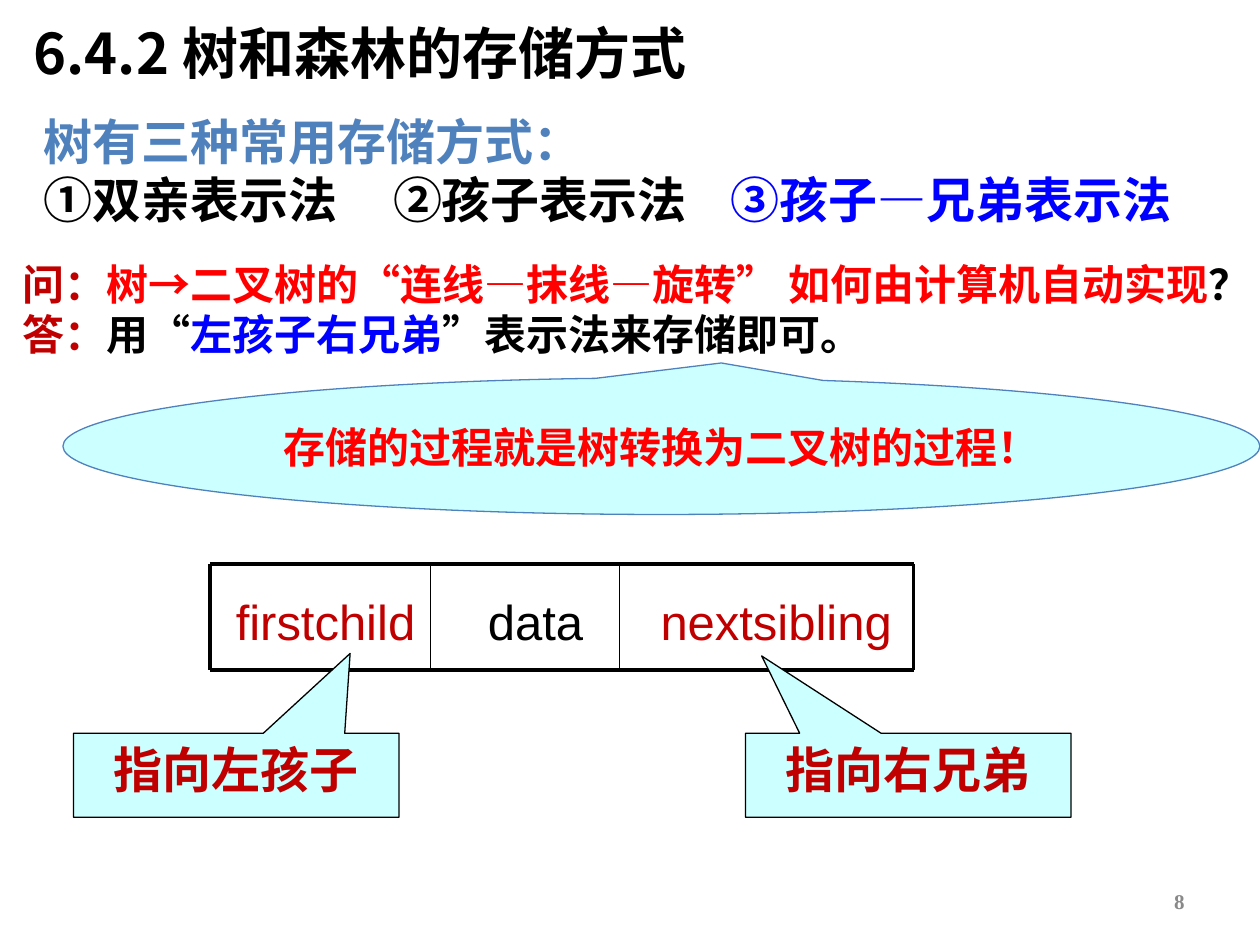
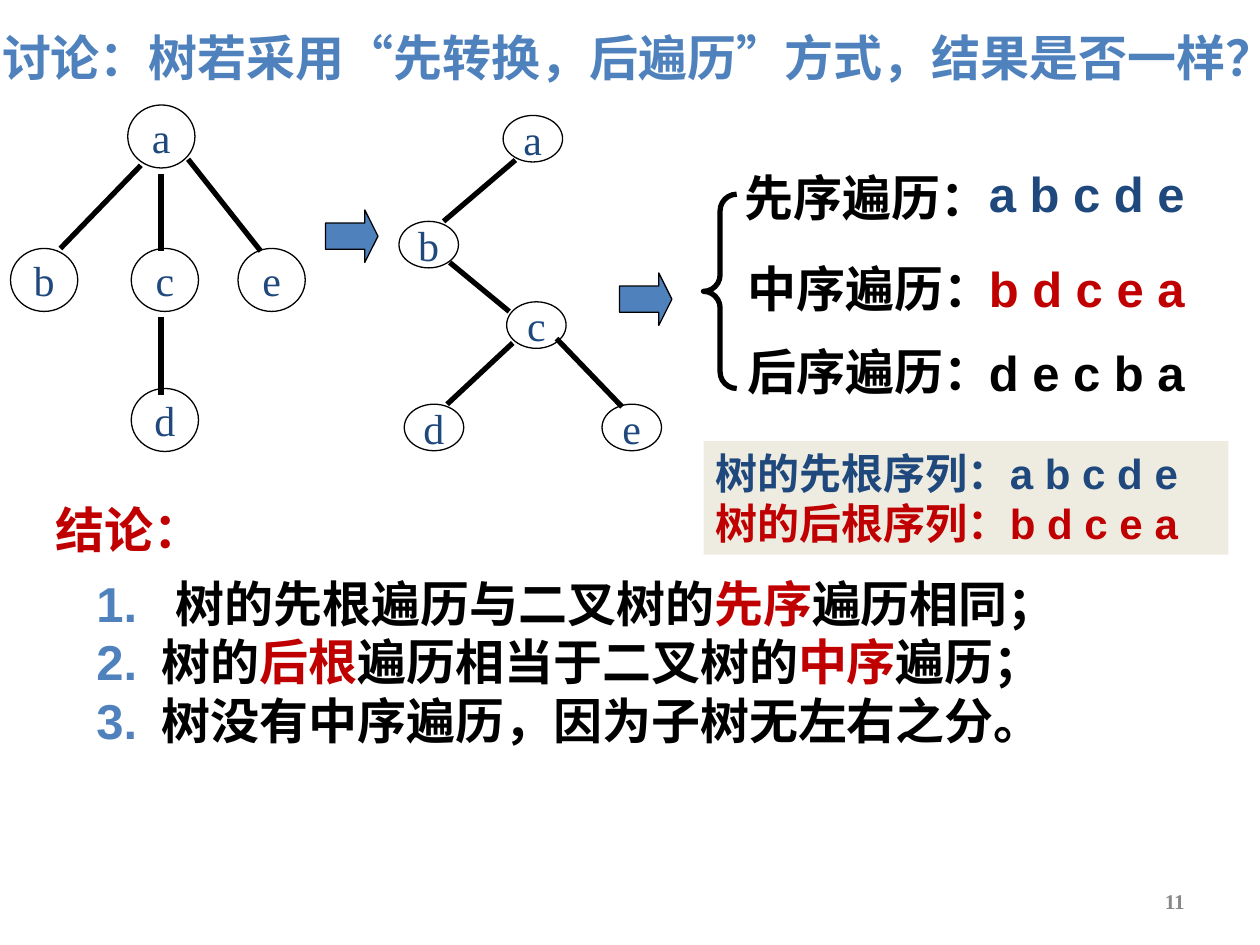
import pptx
import pptx.util
import pptx.dml.color
import pptx.enum.shapes
import pptx.enum.text
import pptx.oxml
import pptx.oxml.ns

Pt = pptx.util.Pt
Shape = pptx.enum.shapes.MSO_SHAPE
Align = pptx.enum.text.PP_ALIGN
Anchor = pptx.enum.text.MSO_ANCHOR
qn = pptx.oxml.ns.qn

# Shared look
HAN, SANS, SERIF = "Noto Sans CJK SC", "Arial", "Times New Roman"
BLACK, RED, BRIGHT_RED = "000000", "C00000", "FF0000"
BLUE, NAVY, PURE_BLUE = "4F81BD", "1F497D", "0000FF"
PALE_CYAN, CREAM, GREY = "CCFFFF", "EEECE1", "898989"
LEADING = 1.2


def colour(value):
    return pptx.dml.color.RGBColor.from_string(value)


def add_child(parent, tag, **attributes):
    child = pptx.oxml.parse_xml(f"<a:{tag} {pptx.oxml.ns.nsdecls('a')}/>")
    for name, value in attributes.items():
        child.set(name, value)
    parent.append(child)
    return child


def write(shape, paragraphs, size, font=HAN, bold=True, align=Align.LEFT,
          anchor=Anchor.TOP, wrap=True, tabs=None):
    """Each paragraph is a list of (text, colour); tabs holds stops per paragraph."""
    frame = shape.text_frame
    frame.word_wrap = wrap
    frame.vertical_anchor = anchor
    frame.margin_left = frame.margin_right = Pt(7.2)
    frame.margin_top = frame.margin_bottom = Pt(3.6)
    for index, spans in enumerate(paragraphs):
        para = frame.add_paragraph() if index else frame.paragraphs[0]
        para.alignment = align
        para.line_spacing = Pt(size * LEADING)
        para.space_before = Pt(0)
        properties = para._p.get_or_add_pPr()
        if tabs and tabs[index]:
            stops = add_child(properties, "tabLst")
            for stop in tabs[index]:
                add_child(stops, "tab", pos=str(Pt(stop)), algn="l")
        para.font.size = Pt(size)
        para.font.bold = bold
        para.font.name = font
        add_child(properties.find(qn("a:defRPr")), "ea", typeface=HAN)
        shared = len({shade for _, shade in spans}) == 1
        if shared:
            para.font.color.rgb = colour(spans[0][1])
        for text, shade in spans:
            span = para.add_run()
            span.text = text
            if not shared:
                span.font.color.rgb = colour(shade)


def add_text(page, box, paragraphs, size, **style):
    shape = page.shapes.add_textbox(*map(Pt, box))
    write(shape, paragraphs, size, **style)


def add_figure(page, kind, box, fill=None, line=BLACK, width=0.75, adjust=()):
    shape = page.shapes.add_shape(kind, *map(Pt, box))
    shape.shadow.inherit = False
    for index, value in enumerate(adjust):
        shape.adjustments[index] = value
    if fill:
        shape.fill.solid()
        shape.fill.fore_color.rgb = colour(fill)
    else:
        shape.fill.background()
    if line:
        shape.line.color.rgb = colour(line)
        shape.line.width = Pt(width)
    else:
        shape.line.fill.background()
    return shape


def add_line(page, start, end, width):
    line = page.shapes.add_connector(pptx.enum.shapes.MSO_CONNECTOR.STRAIGHT,
                                     *map(Pt, (*start, *end)))
    line.line.color.rgb = colour(BLACK)
    line.line.width = Pt(width)
    add_child(line._element.spPr, "effectLst")


def add_page(deck, box, title, shade, size, number, **style):
    """Title-only page with its title and page number."""
    page = deck.slides.add_slide(deck.slide_layouts[5])
    holder = page.shapes.title
    holder.left, holder.top, holder.width, holder.height = map(Pt, box)
    write(holder, [[(title, shade)]], size, **style)
    add_text(page, (516, 500.5, 168, 28.8), [[(number, GREY)]], 12, font=SERIF,
             align=Align.RIGHT, anchor=Anchor.MIDDLE)
    return page


# Storage page
def add_node_record(page, box):
    """Three-field record with a heavy frame and thin dividers."""
    left, top, width, height = box
    right, bottom = left + width, top + height
    dividers = (left + 126, left + 234)
    fields = [("nextsibling", 245.5, 156, RED), ("data", 138, 96, BLACK),
              ("firstchild", 6, 120, RED)]
    for text, offset, field_width, shade in fields:
        add_text(page, (left + offset, top + 12, field_width, 42), [[(text, shade)]],
                 28, font=SANS, bold=False, align=Align.CENTER)
    for y in (top, bottom):
        add_line(page, (left, y), (right, y), 2.25)
    for x in (left, *dividers, right):
        add_line(page, (x, top), (x, bottom), 1 if x in dividers else 2.25)


def add_pointer_note(page, box, text, tip):
    note = add_figure(page, Shape.RECTANGULAR_CALLOUT, box, PALE_CYAN, adjust=tip)
    write(note, [[(text, RED)]], 28, align=Align.CENTER)


def build_storage_page(deck):
    page = add_page(deck, (12, 7, 498, 45.5), "6.4.2 树和森林的存储方式", BLACK, 32, "8",
                    anchor=Anchor.MIDDLE)
    add_text(page, (18, 60, 672, 108), [
        [("树有三种常用存储方式：", BLUE)],
        [("①双亲表示法\t②孩子表示法\t", BLACK), ("③孩子—兄弟表示法", PURE_BLUE)],
    ], 28, font=SERIF, tabs=[None, (199.5, 392.5)])
    add_node_record(page, (120, 322.5, 402, 60.5))
    add_pointer_note(page, (42, 419, 186, 48), "指向左孩子", (0.35, -1.45))
    add_pointer_note(page, (426, 419, 186, 48), "指向右兄弟", (-0.45, -1.42))
    add_text(page, (6, 144, 721.5, 65), [
        [("问：", RED), ("树→二叉树的“连线—抹线—旋转” 如何由计算机自动实现", BRIGHT_RED),
         ("？", BLACK)],
        [("答：", RED), ("用“", BLACK), ("左孩子右兄弟", PURE_BLUE),
         ("”表示法来存储即可。", BLACK)],
    ], 24)
    remark = add_figure(page, Shape.OVAL_CALLOUT, (36, 216, 684, 78), PALE_CYAN, BLUE,
                        adjust=(0.05, -0.61))
    write(remark, [[("存储的过程就是树转换为二叉树的过程！", BRIGHT_RED)]], 24,
          align=Align.CENTER, anchor=Anchor.MIDDLE)


# Traversal page
def add_tree(page, origin, node_size, nodes, edges):
    """Places nodes and edges relative to the origin."""
    left, top = origin
    for letter, (x, y) in nodes.items():
        node = add_figure(page, Shape.OVAL, (left + x, top + y, *node_size))
        write(node, [[(letter, NAVY)]], 24, font=SERIF, bold=False,
              align=Align.CENTER, anchor=Anchor.MIDDLE, wrap=False)
    for x1, y1, x2, y2 in edges:
        add_line(page, (left + x1, top + y1), (left + x2, top + y2), 3)


def add_orders(page, box):
    """Brace with the three traversal orders."""
    left, top, width, height = box
    add_figure(page, Shape.LEFT_BRACE, (left, top, 19, height), width=3,
               adjust=(0.5, 0.5))
    orders = [("先序遍历：", "a b c d e", NAVY, 16.5, -19, -21),
              ("中序遍历：", "b d c e a", RED, 18, 33, 33),
              ("后序遍历：", "d e c b a", BLACK, 18, 80.5, 81)]
    for label, sequence, shade, label_x, label_y, sequence_y in orders:
        add_text(page, (left + label_x, top + label_y, 154, 41), [[(label, BLACK)]], 28,
                 font=SANS, wrap=False)
        add_text(page, (left + 156, top + sequence_y, width - 156, 41),
                 [[(sequence, shade)]], 28, font=SANS)


def add_conclusions(page, box):
    left, top, width, height = box
    add_text(page, (left, top, 98, 41), [[("结论：", RED)]], 28, font=SANS, wrap=False)
    add_text(page, (left + 23.5, top + 42, width - 23.5, height - 42), [
        [("1.\t", BLUE), ("树的先根遍历与二叉树的", BLACK), ("先序", RED),
         ("遍历相同；", BLACK)],
        [("2.\t", BLUE), ("树的", BLACK), ("后根", RED), ("遍历相当于二叉树的", BLACK),
         ("中序", RED), ("遍历；", BLACK)],
        [("3.\t", BLUE), ("树没有中序遍历，因为子树无左右之分。", BLACK)],
    ], 28, font=SANS, tabs=[(45.5,), (37.5,), (37.5,)])


def build_traversal_page(deck):
    page = add_page(deck, (-6, 12, 720, 41),
                    "讨论：树若采用“先转换，后遍历”方式，结果是否一样？", BLUE, 28, "11",
                    font=SANS)
    # General tree and the binary tree it becomes
    add_tree(page, (6, 60), (38.4, 36),
             {"a": (67, 0), "b": (0, 82), "c": (69, 82), "e": (130, 82), "d": (69, 162)},
             [(74.5, 34.5, 28.5, 82), (101.5, 31, 143, 83.5),
              (86, 39.5, 86, 83.5), (86, 121, 86, 165.5)])
    add_tree(page, (228, 66), (34, 26.6),
             {"a": (59.5, 0), "b": (0, 60.5), "c": (61.5, 106.5), "d": (3, 165),
              "e": (116, 165)},
             [(66.5, 25.5, 25.5, 60.5), (29, 84, 63, 112),
              (65, 130, 27.5, 165), (90, 127.5, 127.5, 166.5)])
    for x, y in ((186, 120), (354, 156)):
        add_figure(page, Shape.RIGHT_ARROW, (x, y, 30, 30), BLUE, adjust=(0.5, 0.25))
    add_orders(page, (402, 111, 294, 111))
    # Root orders of the tree
    panel = add_figure(page, Shape.RECTANGLE, (402, 252, 300, 65), CREAM, line=None)
    write(panel, [[("树的先根序列：a b c d e", NAVY)], [("树的后根序列：b d c e a", RED)]],
          24, font=SANS)
    add_conclusions(page, (24.5, 282, 635.5, 150))


def main():
    deck = pptx.Presentation()
    deck.slide_width, deck.slide_height = Pt(720), Pt(540)
    build_storage_page(deck)
    build_traversal_page(deck)
    deck.save("out.pptx")


if __name__ == "__main__":
    main()
